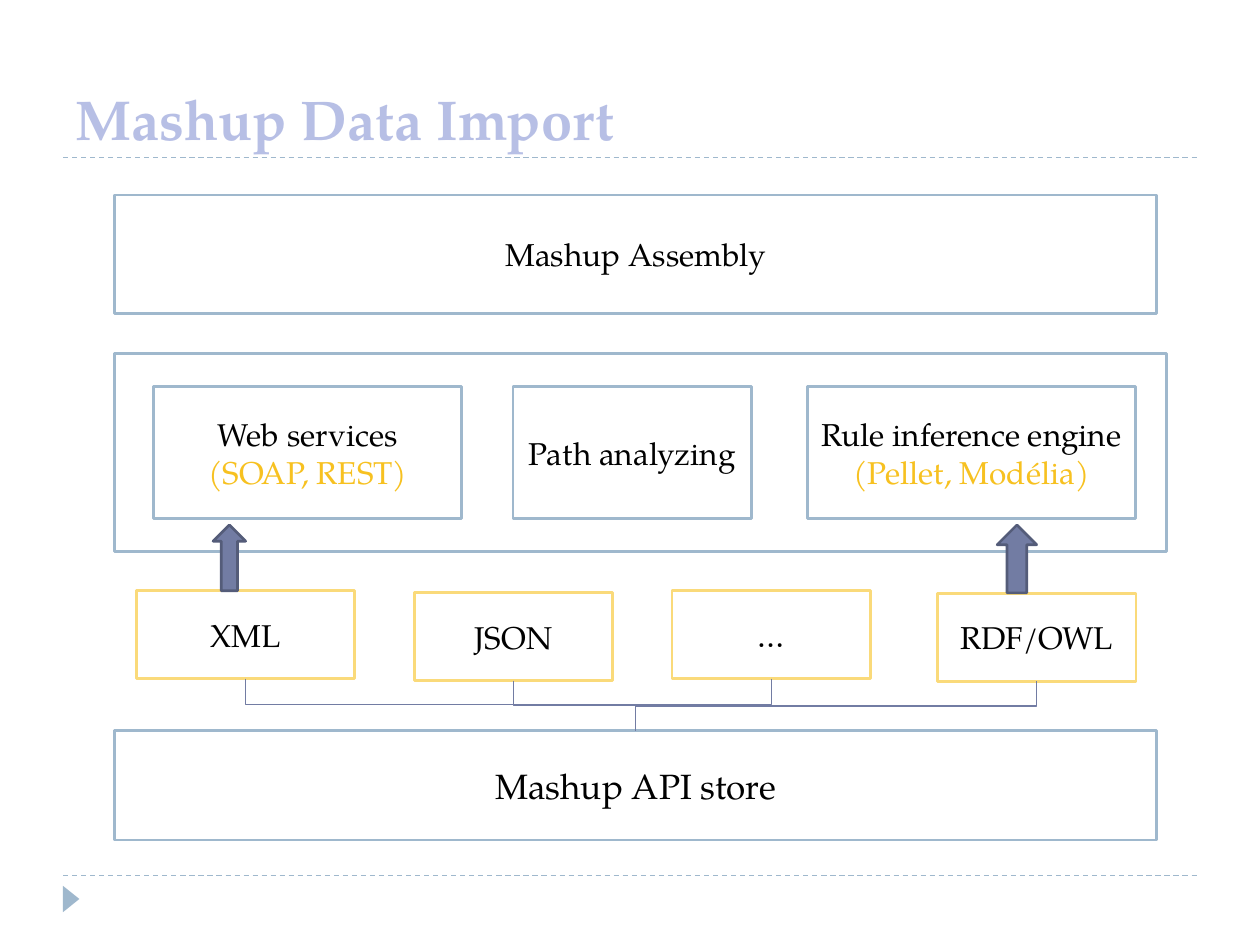
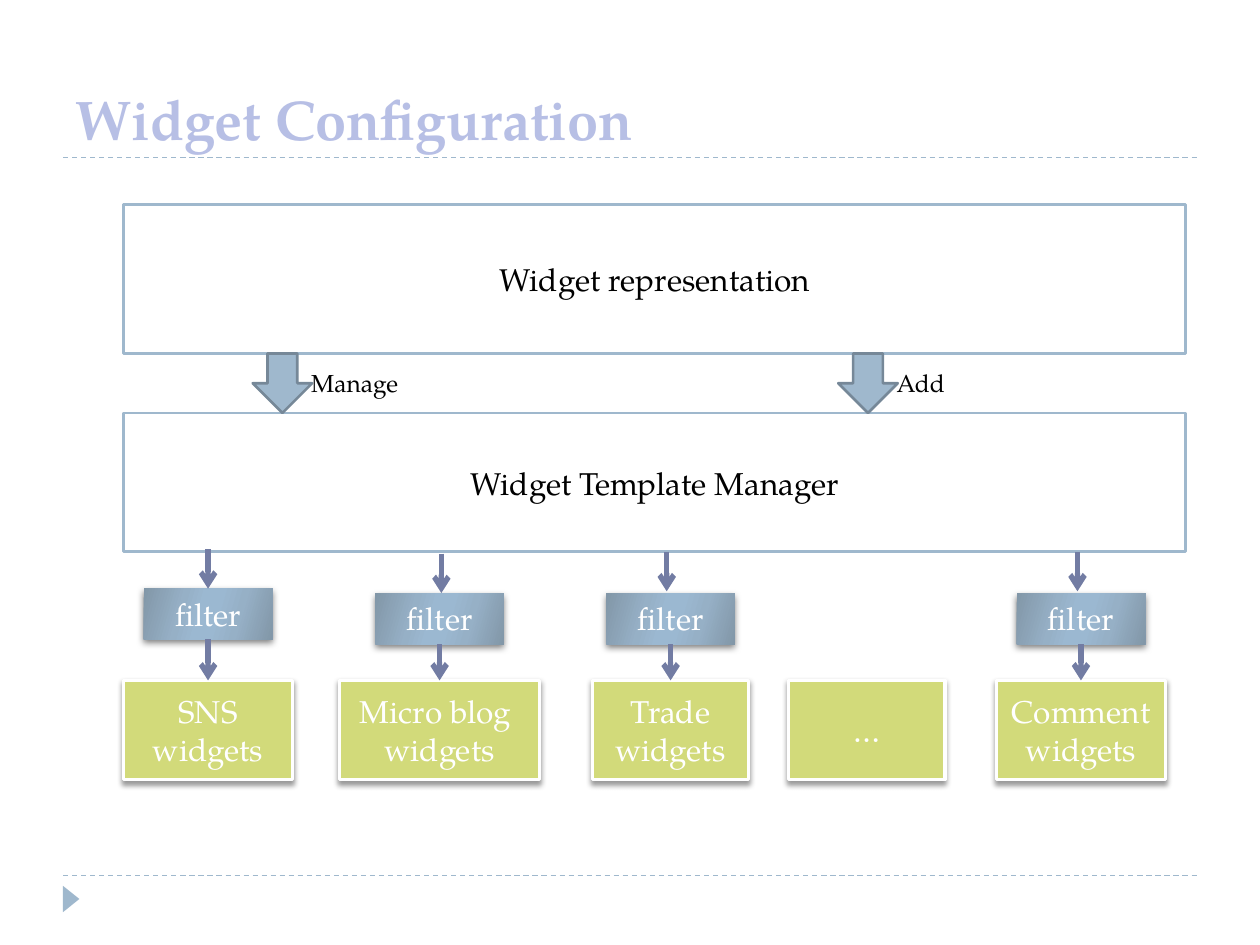
from lxml.etree import SubElement
from pptx import Presentation
from pptx.dml.color import RGBColor
from pptx.enum.dml import MSO_LINE
from pptx.enum.shapes import MSO_CONNECTOR, MSO_SHAPE
from pptx.enum.text import MSO_ANCHOR, PP_ALIGN
from pptx.oxml.ns import qn
from pptx.util import Pt

INK = {
    "title": "B7BFE5",
    "blue": "9FB8CD",
    "slate": "727CA3",
    "edge": "545C79",
    "rim": "768898",
    "gold": "FADA7A",
    "amber": "F7C120",
    "lime": "D2DA7A",
    "white": "FFFFFF",
    "black": "000000",
}
SHEEN = [(0, "8297A8"), (30, "96B0C6"), (45, "9BB8D1"),
         (55, "9BB8D1"), (73, "96B0C6"), (100, "8297A8")]
FACE = "TeX Gyre Pagella"
BODY = {"name": FACE, "size": Pt(18), "bold": False}
HEAD = {"name": FACE, "size": Pt(32), "bold": True}


def hue(name):
    return RGBColor.from_string(INK[name])


def apply(thing, form):
    for key, val in form.items():
        setattr(thing, key, val)


def write(shape, lines, form=BODY, align=PP_ALIGN.CENTER, anchor=MSO_ANCHOR.MIDDLE):
    frame = shape.text_frame
    apply(frame, {"word_wrap": True, "vertical_anchor": anchor})
    for num, (text, tint) in enumerate(lines):
        para = frame.paragraphs[0] if num == 0 else frame.add_paragraph()
        para.alignment = align
        run = para.add_run()
        run.text = text
        apply(run.font, form)
        run.font.color.rgb = hue(tint)


def label(slide, spot, text, tint="black", form=BODY, anchor=MSO_ANCHOR.TOP):
    box = slide.shapes.add_textbox(*map(Pt, spot))
    write(box, [(text, tint)], form, PP_ALIGN.LEFT, anchor)


def block(slide, spot, fill="white", edge=None, width=1.5, kind=MSO_SHAPE.RECTANGLE):
    shape = slide.shapes.add_shape(kind, *map(Pt, spot))
    shape.shadow.inherit = False
    shape.fill.solid()
    shape.fill.fore_color.rgb = hue(fill)
    if edge:
        shape.line.color.rgb = hue(edge)
        shape.line.width = Pt(width)
    else:
        shape.line.fill.background()
    return shape


def panel(slide, spot, *lines, edge="blue", size=18):
    tints = ("black", "amber")
    write(block(slide, spot, edge=edge), list(zip(lines, tints)), {**BODY, "size": Pt(size)})


def tint(parent, code, alpha=None):
    node = SubElement(parent, qn("a:srgbClr"), val=code)
    if alpha:
        SubElement(node, qn("a:alpha"), val=str(alpha * 1000))


def shade(shape, alpha, blur):
    fx = shape._element.spPr.find(qn("a:effectLst"))
    drop = SubElement(fx, qn("a:outerShdw"), blurRad=str(Pt(blur)), dist=str(Pt(2)),
                      dir="5400000", rotWithShape="0")
    tint(drop, INK["black"], alpha)


def gloss(shape):
    shape.fill.gradient()
    grad = shape._element.spPr.find(qn("a:gradFill"))
    for node in list(grad):
        grad.remove(node)
    stops = SubElement(grad, qn("a:gsLst"))
    for pos, code in SHEEN:
        tint(SubElement(stops, qn("a:gs"), pos=str(pos * 1000)), code)
    SubElement(grad, qn("a:lin"), ang="960000", scaled="0")


def link(slide, ends, color="slate", width=0.75, kind=MSO_CONNECTOR.STRAIGHT):
    line = slide.shapes.add_connector(kind, *map(Pt, ends))
    line.line.color.rgb = hue(color)
    line.line.width = Pt(width)
    SubElement(line._element.spPr, qn("a:effectLst"))
    return line


def arrow(slide, x, top, end):
    line = link(slide, (x, top, x, end), width=3)
    SubElement(line._element.spPr.find(qn("a:ln")), qn("a:tailEnd"), type="arrow")


def elbow(slide, x, y, goal, base):
    tall, wide = base - y, abs(goal - x)
    left, top = (x + goal - tall) / 2, (y + base - wide) / 2
    start, stop = left, left + tall
    turn = 90
    if x < goal:
        start, stop, turn = stop, start, 270
    line = link(slide, (start, top, stop, top + wide), kind=MSO_CONNECTOR.ELBOW)
    line._element.spPr.xfrm.set("rot", str(turn * 60000))


def begin(deck, title):
    slide = deck.slides.add_slide(deck.slide_layouts[6])
    for y in (500.4, 90):
        link(slide, (36, y, 684, y), "blue").line.dash_style = MSO_LINE.DASH
    mark = block(slide, (33.1, 509, 15.1, 9.4), "blue", kind=MSO_SHAPE.ISOSCELES_TRIANGLE)
    mark.rotation = 90
    label(slide, (36, 18, 648, 72), title, "title", HEAD, MSO_ANCHOR.BOTTOM)
    return slide


def data(deck):
    slide = begin(deck, "Mashup Data Import")
    left, wide, base = 65.5, 595.5, 417.6
    block(slide, (left, 202, 601.2, 113.3), edge="blue")
    panel(slide, (left, 111.4, wide, 67.8), "Mashup Assembly")
    panel(slide, (left, base, wide, 62.4), "Mashup API store", size=20)
    tools = [
        (87.8, 176, "Web services", "(SOAP, REST)"),
        (293.2, 136.2, "Path analyzing"),
        (461.5, 187.4, "Rule inference engine", "(Pellet, Modélia)"),
    ]
    for x, width, *lines in tools:
        panel(slide, (x, 221, width, 75.4), *lines)
    feeds = [
        (77.9, 337.4, 124.7, "XML"),
        (236.7, 338.6, 113.4, "JSON"),
        (384, 337.4, 113.4, "…"),
        (535.7, 339, 113.4, "RDF/OWL"),
    ]
    high = 50.4
    for x, y, width, name in feeds:
        panel(slide, (x, y, width, high), name, edge="gold")
        elbow(slide, x + width / 2, y + high, left + wide / 2, base)
    for spot in ((569.8, 300, 22.6, 38.8), (121.8, 300, 18.6, 37.6)):
        block(slide, spot, "slate", "edge", kind=MSO_SHAPE.UP_ARROW)


def widget(slide, mid, width, lines):
    top, high = 388.8, 56.7
    card = block(slide, (mid - width / 2, top, width, high), "lime", "white", 2)
    shade(card, 40, 3)
    write(card, [(line, "white") for line in lines])


def sieve(slide, mid, top, entry, start):
    wide, high = 73.6, 29.1
    box = block(slide, (mid - wide / 2, top, wide, high))
    gloss(box)
    shade(box, 50, 4)
    write(box, [("filter", "white")], anchor=MSO_ANCHOR.TOP)
    arrow(slide, mid, top + high, 388.8)
    arrow(slide, entry, start, start + 22.6)


def config(deck):
    slide = begin(deck, "Widget Configuration")
    left, wide = 70.7, 606.7
    panel(slide, (left, 236.1, wide, 79.2), "Widget Template Manager")
    cards = [
        (118.9, 96.5, ["SNS widgets"]),
        (251.2, 114.5, ["Micro blog ", "widgets"]),
        (383.2, 89.3, ["Trade", "widgets"]),
        (495.3, 89.3, ["…"]),
        (617.7, 96.5, ["Comment", "widgets"]),
    ]
    for card in cards:
        widget(slide, *card)
    sieves = [
        (118.9, 336.2, 118.9, 313.8),
        (251.2, 339, 252.2, 316.3),
        (383.2, 339, 381, 315.3),
        (617.7, 339, 615.7, 315.3),
    ]
    for item in sieves:
        sieve(slide, *item)
    panel(slide, (left, 116.9, wide, 85), "Widget representation")
    for x, name in ((144.4, "Manage"), (479, "Add")):
        block(slide, (x, 202, 34, 34), "blue", "rim", kind=MSO_SHAPE.DOWN_ARROW)
        label(slide, (x + 26.3, 206.6, 68.4, 24.5), name, form={**BODY, "size": Pt(14)})


def main():
    deck = Presentation()
    apply(deck, {"slide_width": Pt(720), "slide_height": Pt(540)})
    data(deck)
    config(deck)
    deck.save("out.pptx")


if __name__ == "__main__":
    main()
